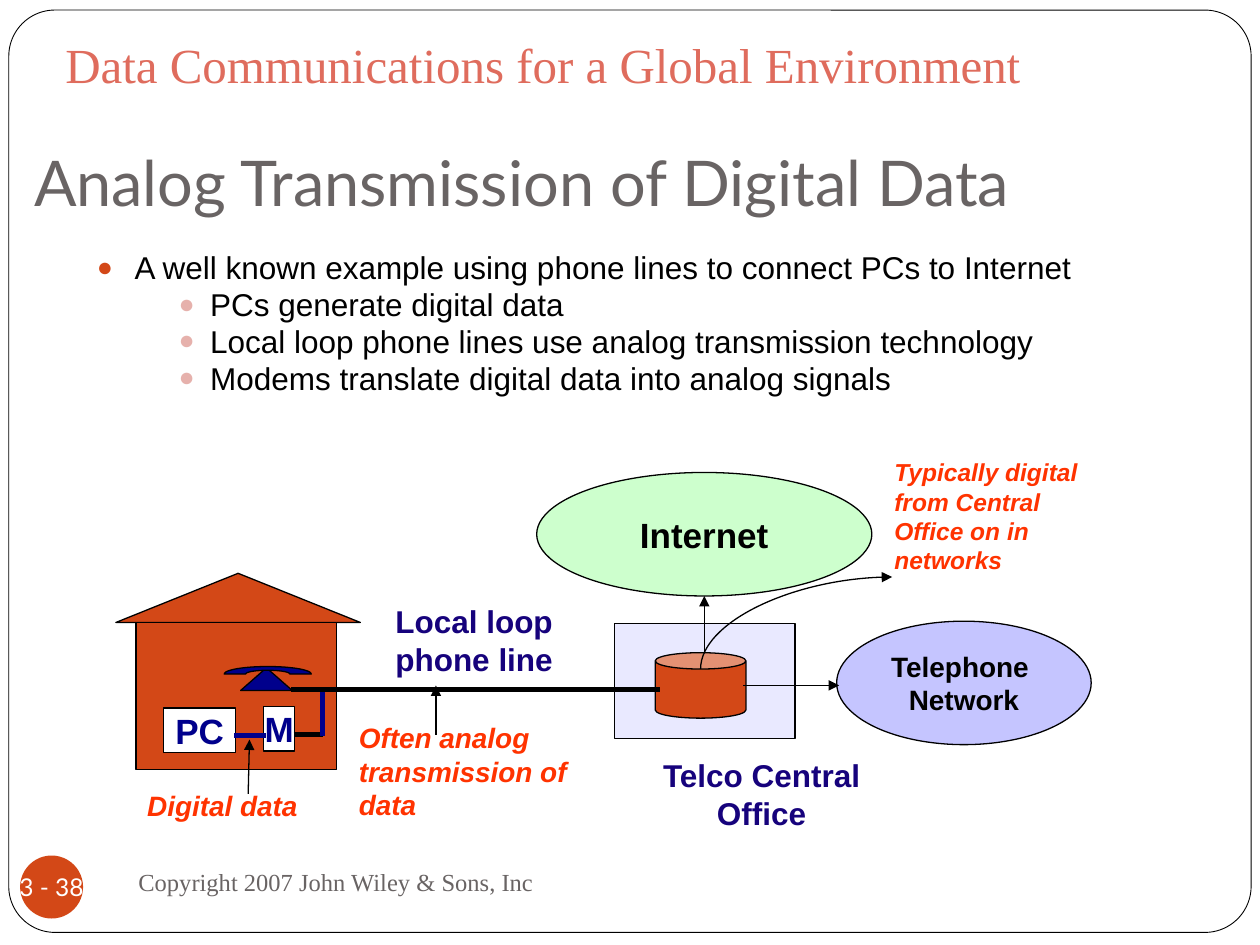
import math
from pptx import Presentation, util as u
from pptx.dml.color import RGBColor
from pptx.enum import shapes, text
from pptx.oxml import ns
from lxml import etree

SCALE = 9144  # EMU per px, 100 px to the inch
RED, ORANGE, NAVY, PURPLE, GREY = "FF3300", "D34817", "00008C", "16027C", "696464"
SHAPE, LINE = shapes.MSO_SHAPE, shapes.MSO_CONNECTOR
CENTER, LEFT = text.PP_ALIGN.CENTER, text.PP_ALIGN.LEFT
TOP, MIDDLE, BOTTOM = text.MSO_ANCHOR.TOP, text.MSO_ANCHOR.MIDDLE, text.MSO_ANCHOR.BOTTOM


def px(*values):
    return [u.Emu(round(value * SCALE)) for value in values]


def color(value):
    return RGBColor.from_string(value)


def add_xml(parent, tag, **attributes):
    return etree.SubElement(parent, ns.qn(tag), attributes)


class Painter:
    def __init__(self, slide, font="Arial"):
        self.slide, self.font = slide, font

    def fill_text(self, shape, lines, size, ink, align=LEFT, anchor=TOP, wrap=True,
                  inset=(10, 5, 10, 5), **font):
        frame = shape.text_frame
        margins = zip(("left", "top", "right", "bottom"), px(*inset))
        settings = {"margin_" + side: value for side, value in margins}
        settings |= {"auto_size": text.MSO_AUTO_SIZE.NONE, "word_wrap": wrap,
                     "vertical_anchor": anchor}
        for name, value in settings.items():
            setattr(frame, name, value)
        frame.text = lines
        for paragraph in frame.paragraphs:
            paragraph.alignment = align
            self.style(paragraph, size, ink, **font)
        return shape

    def style(self, paragraph, size, ink, **font):
        values = {"name": self.font, "size": u.Pt(size), "bold": False, "italic": False} | font
        for name, value in values.items():
            setattr(paragraph.font, name, value)
        paragraph.font.color.rgb = color(ink)

    def title(self, box, words, size, ink, **options):
        shape = self.slide.shapes.title
        shape.left, shape.top, shape.width, shape.height = px(*box)
        return self.fill_text(shape, words, size, ink, **options)

    def label(self, box, words, size, ink, **options):
        return self.fill_text(self.slide.shapes.add_textbox(*px(*box)), words, size, ink,
                              **options)

    def bullets(self, box, items, size):
        shape = self.label(box, "\n".join(words for _, words in items), size, "000000")
        for paragraph, (level, _) in zip(shape.text_frame.paragraphs, items):
            margin, indent, dot = ((30, -30, ORANGE), (90, -25, "E6B1AC"))[level]
            paragraph.level = level
            if level:
                paragraph.line_spacing, paragraph.space_before = 0.8, u.Pt(3.7)
            properties = paragraph._p.get_or_add_pPr()
            properties.set("marL", str(margin * SCALE))
            properties.set("indent", str(indent * SCALE))
            # Bullet parts belong before the default run properties
            parts = etree.Element("parts")
            add_xml(add_xml(parts, "a:buClr"), "a:srgbClr", val=dot)
            add_xml(parts, "a:buSzPct", val="85000")
            add_xml(parts, "a:buFont", typeface=self.font)
            add_xml(parts, "a:buChar", char="●")
            defaults = properties.find(ns.qn("a:defRPr"))
            for part in list(parts):
                defaults.addprevious(part)

    def finish(self, shape, fill, line, weight):
        shape.shadow.inherit = False
        if fill:
            shape.fill.solid()
            shape.fill.fore_color.rgb = color(fill)
        else:
            shape.fill.background()
        if line:
            shape.line.color.rgb = color(line)
            shape.line.width = u.Pt(weight)
        else:
            shape.line.fill.background()
        return shape

    def shape(self, kind, box, fill=None, line="000000", weight=0.75):
        return self.finish(self.slide.shapes.add_shape(kind, *px(*box)), fill, line, weight)

    def outline(self, points, fill, line="000000", weight=0.75):
        points = [px(*point) for point in points]
        builder = self.slide.shapes.build_freeform(*points[0], scale=1.0)
        builder.add_line_segments(points[1:], close=True)
        return self.finish(builder.convert_to_shape(), fill, line, weight)

    def connect(self, ends, ink="000000", weight=0.75, arrow=False, kind=LINE.STRAIGHT):
        connector = self.slide.shapes.add_connector(kind, *px(*ends))
        connector.line.color.rgb = color(ink)
        connector.line.width = u.Pt(weight)
        properties = connector._element.spPr
        if arrow:
            add_xml(properties.get_or_add_ln(), "a:tailEnd", type="triangle")
        add_xml(properties, "a:effectLst")
        return connector

    def quarter_curve(self, start, end):
        # The one-bend curve starts level, so it is turned to start upwards
        (x1, y1), (x2, y2) = start, end
        middle_x, middle_y = (x1 + x2) / 2, (y1 + y2) / 2
        across, down = (y1 - y2) / 2, (x2 - x1) / 2
        ends = middle_x + across, middle_y + down, middle_x - across, middle_y - down
        properties = self.connect(ends, arrow=True, kind=LINE.CURVE)._element.spPr
        properties.find(ns.qn("a:xfrm")).set("rot", str(90 * 60000))
        properties.find(ns.qn("a:prstGeom")).set("prst", "curvedConnector2")


def arch(center_x, base, radius_x, radius_y, steps=24):
    angles = [math.pi * step / steps for step in range(steps + 1)]
    return [(center_x - radius_x * math.cos(a), base - radius_y * math.sin(a)) for a in angles]


def main():
    presentation = Presentation()
    presentation.slide_width, presentation.slide_height = px(1000, 750)
    slide = presentation.slides.add_slide(presentation.slide_layouts[5])
    painter = Painter(slide)
    bold, note = {"bold": True}, {"bold": True, "italic": True}
    heading = {"anchor": BOTTOM, "inset": (10, 5, 10, 10)}
    centered = {"align": CENTER, "anchor": MIDDLE, "wrap": False}

    # Frame, footer and page number
    frame = painter.shape(SHAPE.ROUNDED_RECTANGLE, (7, 8, 986, 732), weight=0.5)
    frame.adjustments[0] = 0.05
    painter.label((100, 675, 433, 50), "Copyright 2007 John Wiley & Sons, Inc", 14, GREY,
                  anchor=MIDDLE, name="Times New Roman")
    badge = painter.shape(SHAPE.OVAL, (16, 679, 50, 50), ORANGE, None)
    painter.fill_text(badge, "3 - 38", 14, "FFFFFF", inset=(0, 0, 0, 0), name="Lato", **centered)

    # Headings and bullets
    painter.title((17, 117, 796, 67), "Analog Transmission of Digital Data", 36, GREY,
                  name="Lato", **heading)
    painter.label((42, 17, 900, 67), "Data Communications for a Global Environment", 28,
                  "DF6C5D", name="Times New Roman", **heading)
    painter.bullets((67, 192, 850, 161), [
        (0, "A well known example using phone lines to connect PCs to Internet"),
        (1, "PCs generate digital data"),
        (1, "Local loop phone lines use analog transmission technology"),
        (1, "Modems translate digital data into analog signals")], 18)

    # House with telephone
    painter.shape(SHAPE.ISOSCELES_TRIANGLE, (92, 455, 194, 39), ORANGE)
    painter.shape(SHAPE.RECTANGLE, (108, 494, 159, 117), ORANGE)
    painter.shape(SHAPE.ISOSCELES_TRIANGLE, (191, 530, 41, 18), NAVY)
    handset = arch(212.5, 535, 17.5, 3) + arch(212.5, 535, 34.5, 6)[::-1]
    painter.outline(handset, NAVY)

    # Central office and local loop
    painter.shape(SHAPE.RECTANGLE, (488, 495, 143, 91), "E9E9FF")
    painter.shape(SHAPE.CAN, (520, 518, 72, 52), ORANGE)
    painter.connect((231, 547, 524, 547), weight=3)

    # PC, modem and their wiring
    for word, box in (("PC", (130, 562, 57, 35)), ("M", (209, 561, 25, 35))):
        painter.fill_text(painter.shape(SHAPE.RECTANGLE, box, "FFFFFF"), word, 20, NAVY,
                          **centered, **bold)
    for ends, ink in (((186, 584, 211, 584), NAVY), ((233, 583, 256, 583), "000000"),
                      ((256, 584, 256, 549), NAVY)):
        painter.connect(ends, ink, 3)

    # Networks
    for words, size, box, fill in (
            ("Telephone \nNetwork", 16, (664, 493, 202, 98), "C5C5FF"),
            ("Internet", 20, (426, 375, 266, 98), "CDFFCD")):
        painter.fill_text(painter.shape(SHAPE.OVAL, box, fill), words, size, "000000",
                          **centered, **bold)

    # Arrows
    for ends, weight in (((346, 583, 346, 544), 0.75), ((590, 544, 666, 544), 1),
                         ((559, 518, 559, 473), 0.75), ((197, 630, 198, 587), 0.75)):
        painter.connect(ends, weight=weight, arrow=True)
    painter.quarter_curve((556, 531), (708, 458))

    # Place names and notes
    painter.label((501, 595, 207, 101), "Telco Central Office", 18, PURPLE, align=CENTER, **bold)
    painter.label((304, 473, 180, 71), "Local loop phone line", 18, PURPLE, **bold)
    for words, size, box in (
            ("Often analog transmission of data", 16, (275, 567, 230, 91)),
            ("Digital data", 16, (107, 621, 160, 37)),
            ("Typically digital from Central Office on in networks", 14, (700, 358, 167, 104))):
        painter.label(box, words, size, RED, **note)

    presentation.save("out.pptx")


if __name__ == "__main__":
    main()
